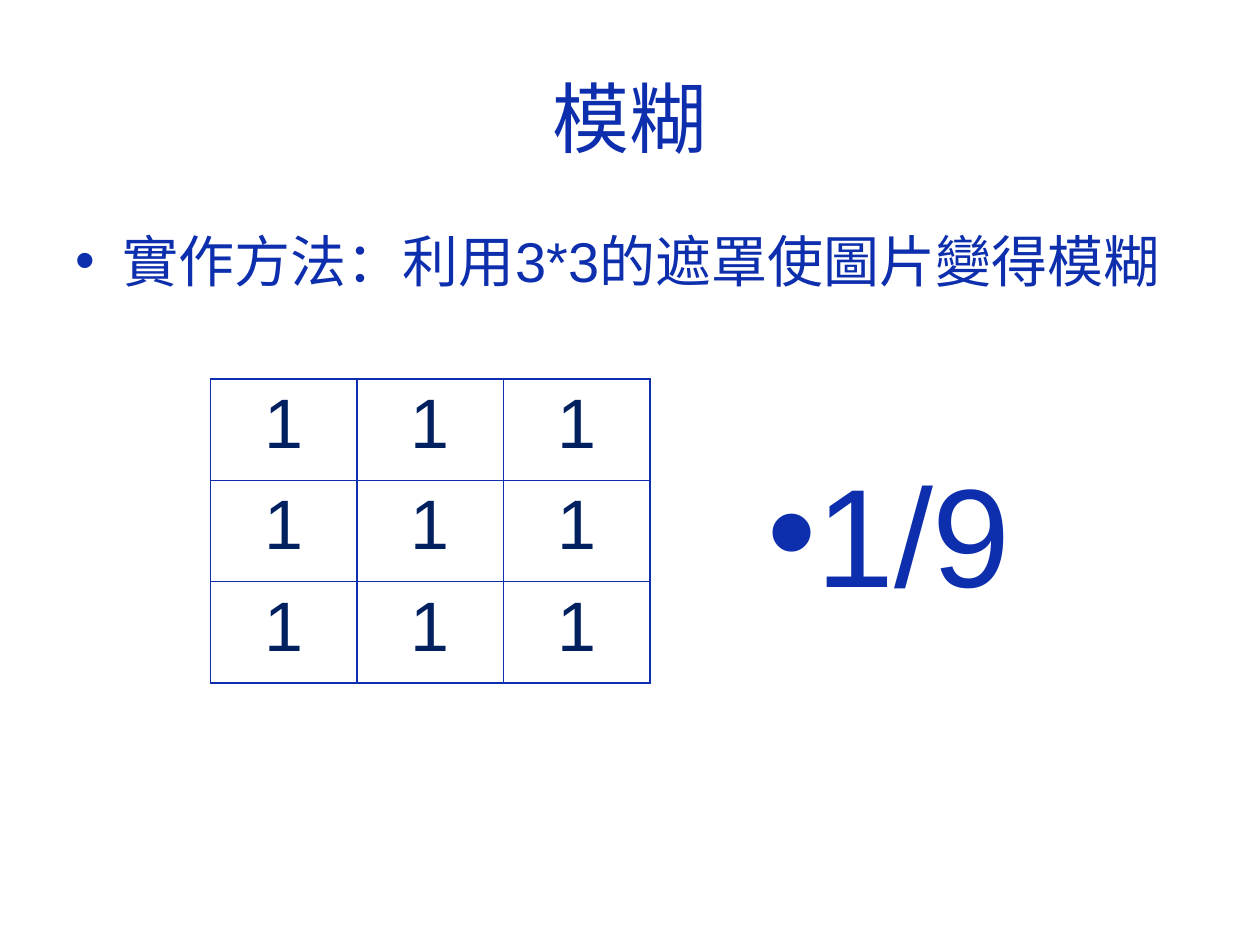
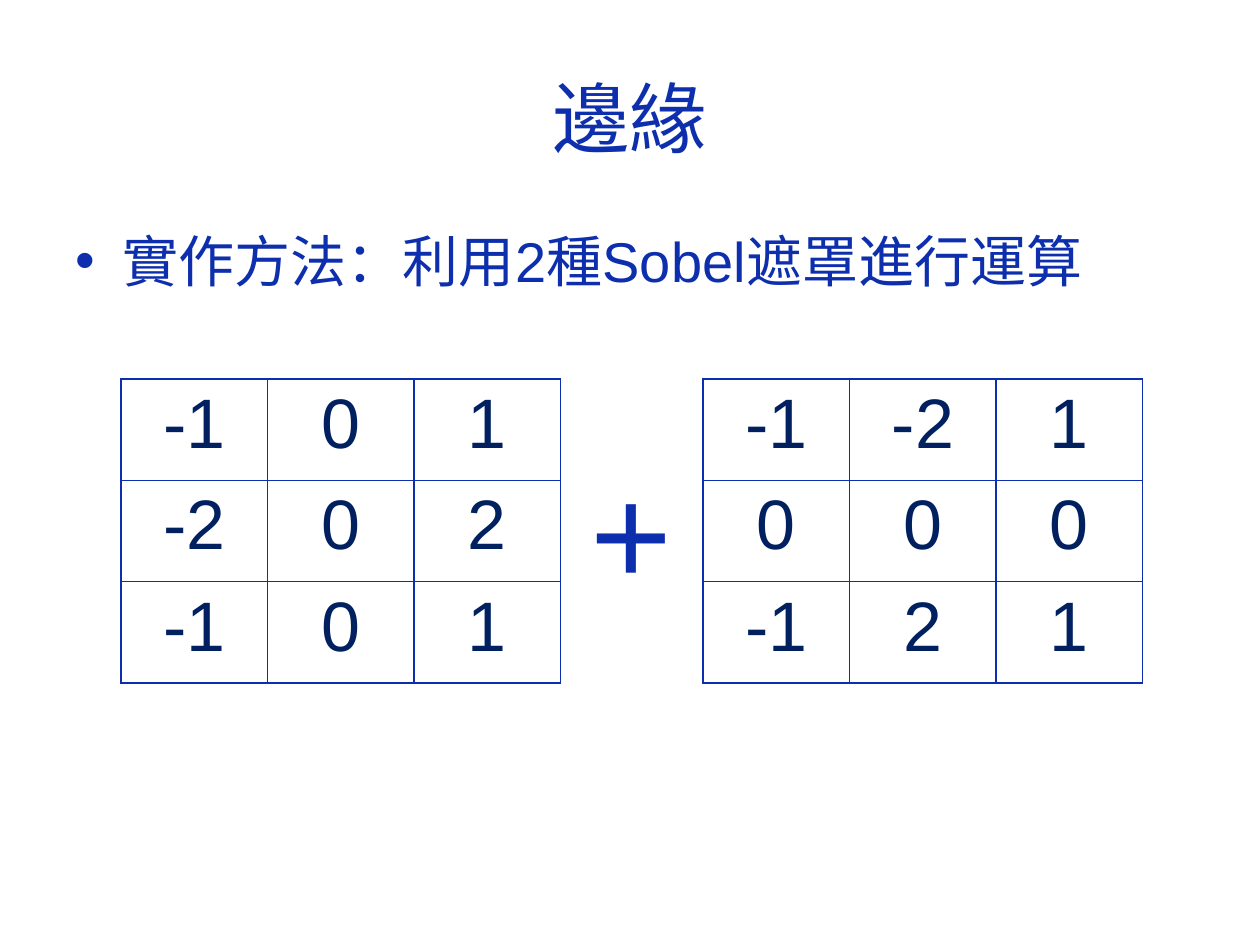
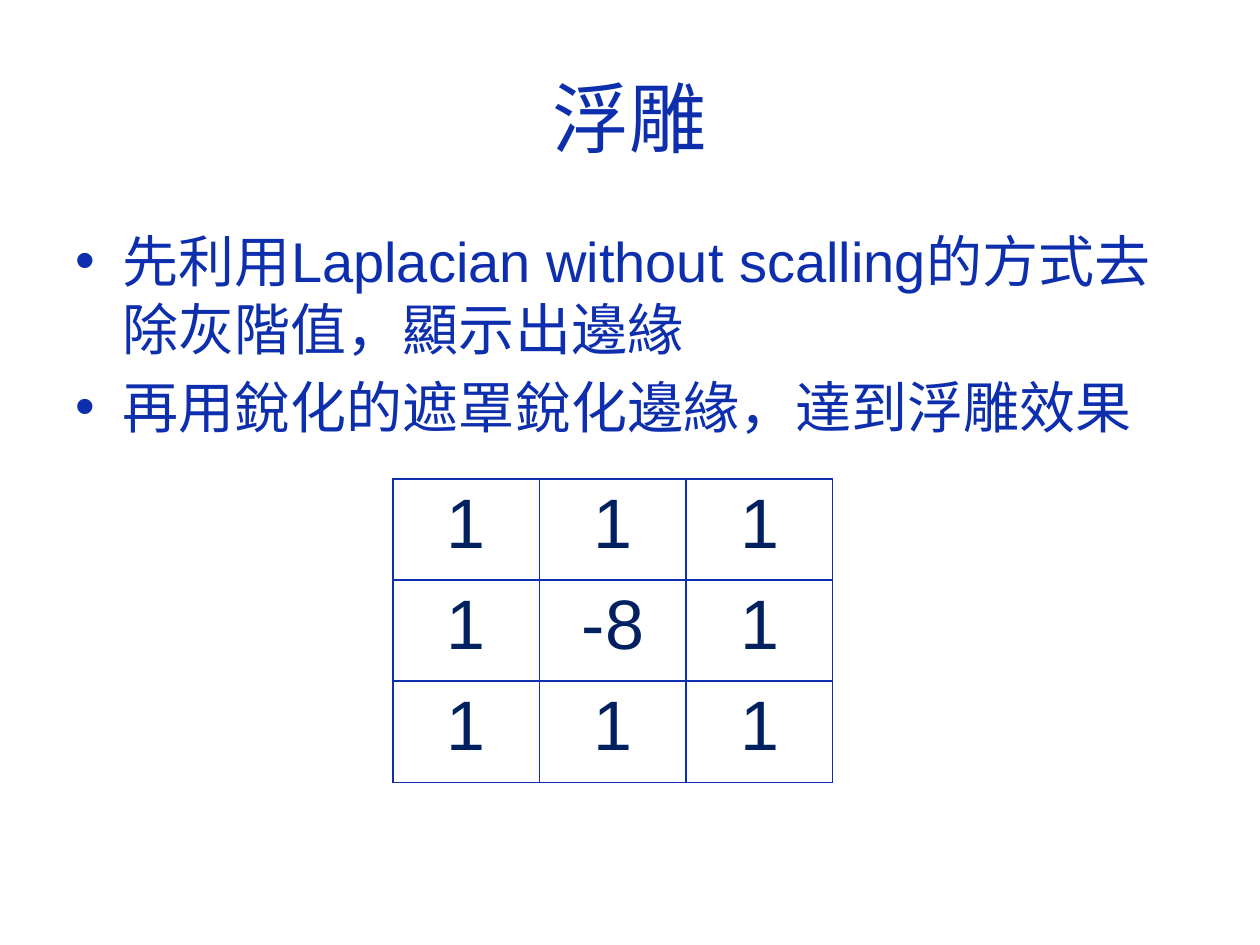
from lxml import etree
from pptx import Presentation
from pptx.dml.color import RGBColor
from pptx.enum.text import MSO_ANCHOR, MSO_AUTO_SIZE, PP_ALIGN
from pptx.oxml.ns import qn
from pptx.util import Inches, Pt

CENTER = PP_ALIGN.CENTER
MIDDLE = MSO_ANCHOR.MIDDLE
FIXED_SIZE = MSO_AUTO_SIZE.NONE
GROW_TO_TEXT = MSO_AUTO_SIZE.SHAPE_TO_FIT_TEXT

FONT = "Arial"
BLUE = "0E2FAD"
NAVY = "002060"
WHITE = "FFFFFF"
MASK_WIDTH, MASK_HEIGHT = 3.49, 2.41
BORDER_WIDTH = Pt(1)

SLIDES = [
    {
        "title": "模糊",
        "points": ["實作方法：利用3*3的遮罩使圖片變得模糊"],
        "masks": [(1.67, 3.01, [[1, 1, 1], [1, 1, 1], [1, 1, 1]])],
        "symbol": ("1/9", 5.99, 3.5, 2.15, True),
    },
    {
        "title": "邊緣",
        "points": ["實作方法：利用2種Sobel遮罩進行運算"],
        "masks": [
            (0.96, 3.01, [[-1, 0, 1], [-2, 0, 2], [-1, 0, 1]]),
            (5.58, 3.01, [[-1, -2, 1], [0, 0, 0], [-1, 2, 1]]),
        ],
        "symbol": ("+", 4.59, 3.49, 0.86, False),
    },
    {
        "title": "浮雕",
        "points": [
            "先利用Laplacian without scalling的方式去除灰階值，顯示出邊緣",
            "再用銳化的遮罩銳化邊緣，達到浮雕效果",
        ],
        "masks": [(3.12, 3.8, [[1, 1, 1], [1, -8, 1], [1, 1, 1]])],
        "symbol": None,
    },
]


def color(value):
    return RGBColor.from_string(value)


def add_span(para, text, size, hex_color):
    span = para.add_run()
    span.text = text
    span.font.name = FONT
    span.font.size = Pt(size)
    span.font.color.rgb = color(hex_color)


deck = Presentation()
deck.slide_width = Inches(10)
deck.slide_height = Inches(7.5)
layout = deck.slide_layouts.get_by_name("Title and Content")

for content in SLIDES:
    page = deck.slides.add_slide(layout)
    title, body = page.placeholders

    title.left, title.top = Inches(0.5), Inches(0.3)
    title.width, title.height = Inches(9), Inches(1.25)
    title.text_frame.auto_size = FIXED_SIZE
    title.text_frame.vertical_anchor = MIDDLE
    para = title.text_frame.paragraphs[0]
    para.alignment = CENTER
    add_span(para, content["title"], 44, BLUE)

    body.left, body.top = Inches(0.5), Inches(1.75)
    body.width, body.height = Inches(9), Inches(4.95)
    frame = body.text_frame
    frame.auto_size = FIXED_SIZE
    for index, point in enumerate(content["points"]):
        para = frame.add_paragraph() if index else frame.paragraphs[0]
        add_span(para, point, 32, BLUE)

    for left, top, values in content["masks"]:
        mask = page.shapes.add_table(
            3, 3, Inches(left), Inches(top), Inches(MASK_WIDTH), Inches(MASK_HEIGHT)
        ).table
        mask.first_row = False
        mask.horz_banding = False
        for row, numbers in enumerate(values):
            for column, number in enumerate(numbers):
                cell = mask.cell(row, column)
                properties = cell._tc.get_or_add_tcPr()
                for side in ("a:lnL", "a:lnR", "a:lnT", "a:lnB"):
                    line = etree.SubElement(properties, qn(side), w=str(BORDER_WIDTH))
                    fill = etree.SubElement(line, qn("a:solidFill"))
                    etree.SubElement(fill, qn("a:srgbClr"), val=BLUE)
                cell.fill.solid()
                cell.fill.fore_color.rgb = color(WHITE)
                para = cell.text_frame.paragraphs[0]
                para.alignment = CENTER
                add_span(para, str(number), 40, NAVY)

    if content["symbol"]:
        text, left, top, width, bulleted = content["symbol"]
        box = page.shapes.add_textbox(
            Inches(left), Inches(top), Inches(width), Inches(1.45)
        )
        box.text_frame.word_wrap = False
        box.text_frame.auto_size = GROW_TO_TEXT
        para = box.text_frame.paragraphs[0]
        add_span(para, text, 80, BLUE)
        if bulleted:
            properties = para._p.get_or_add_pPr()
            properties.set("marL", str(Inches(0.31)))
            properties.set("indent", str(-Inches(0.31)))
            etree.SubElement(properties, qn("a:buFont"), typeface=FONT)
            etree.SubElement(properties, qn("a:buChar"), char="•")

deck.save("out.pptx")
